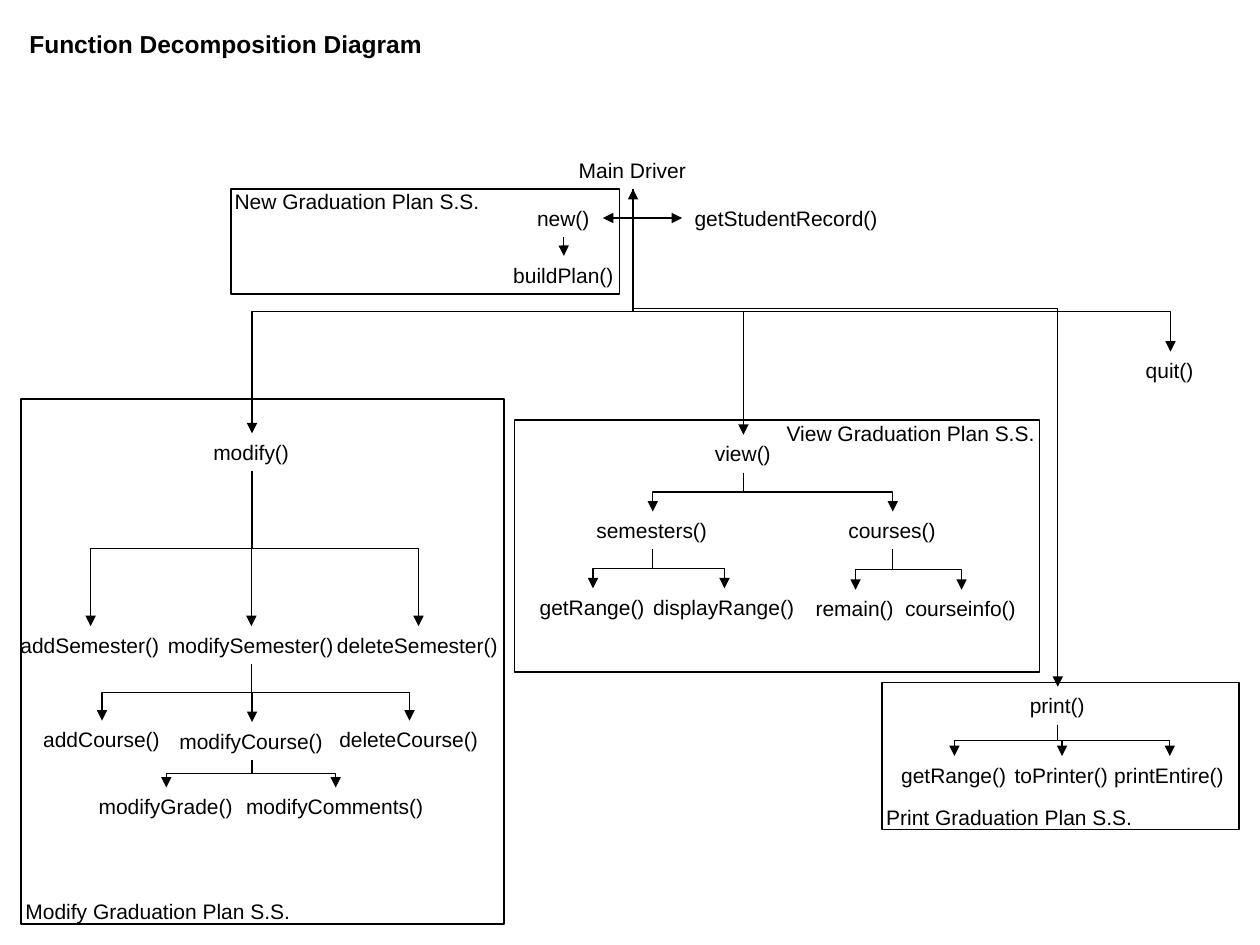
from lxml.etree import SubElement
from pptx import Presentation
from pptx.dml.color import RGBColor
from pptx.enum.shapes import MSO_CONNECTOR as Link, MSO_SHAPE as Preset
from pptx.enum.text import MSO_AUTO_SIZE as AutoSize
from pptx.oxml.ns import qn
from pptx.util import Pt

COLORS = {"ink": "000000"}

TREE = ("Main Driver", 324, 86.4, 75.6, [
    ("modify()", 115.2, 247.7, 57.6, [
        ("addSemester()", 5, 357.8, 93.6, []),
        ("modifySemester()", 89.3, 357.8, 108.7, [
            ("addCourse()", 18, 411.8, 80.6, []),
            ("modifyCourse()", 95.8, 412.6, 96.5, [
                ("modifyGrade()", 49.7, 450, 90.7, []),
                ("modifyComments()", 133.9, 450, 115.9, []),
            ]),
            ("deleteCourse()", 187.2, 411.8, 93.6, []),
        ]),
        ("deleteSemester()", 185.8, 357.8, 106.6, []),
    ]),
    ("view()", 401.8, 248.4, 46.1, [
        ("semesters()", 334.1, 292.3, 77.8, [
            ("getRange()", 301.7, 336.2, 74.2, []),
            ("displayRange()", 366.5, 336.2, 95, []),
        ]),
        ("courses()", 478.1, 292.3, 64.1, [
            ("remain()", 459.4, 337, 59, []),
            ("courseinfo()", 510.5, 337, 77.8, []),
        ]),
    ]),
    ("print()", 581.8, 392.4, 45.4, [
        ("getRange()", 508.3, 432, 74.2, []),
        ("toPrinter()", 573.1, 432, 67.7, []),
        ("printEntire()", 630, 432, 77, []),
    ]),
    ("quit()", 648, 200.9, 41.8, []),
])
NEW_TREE = ("new()", 300.2, 113.8, 43.9, [("buildPlan()", 286.6, 146.2, 71.3, [])])
BENDS = {"print()": 0.24, "quit()": 0.755}

SUBSYSTEMS = [
    ("New Graduation Plan S.S.", (127.4, 104.4, 154.1), (132, 108, 222, 60)),
    ("View Graduation Plan S.S.", (442.8, 236.9, 156.2), (294, 240, 300, 144)),
    ("Print Graduation Plan S.S.", (499.7, 456.5, 154.8), (504, 390, 204, 84)),
    ("Modify Graduation Plan S.S.", (7.9, 509.8, 165.6), (12, 228, 276, 300)),
]


def format_span(span, text, size=12, bold=False, font="Arial", color="ink"):
    span.text = text
    span.font.size = Pt(size)
    span.font.bold = bold
    span.font.name = font
    span.font.color.rgb = RGBColor.from_string(COLORS[color])


class Diagram:
    line_width = 0.75
    label_height = 21.6
    slack = 0.4

    def __init__(self, page):
        self.page = page

    def label(self, text, left, top, width, height=label_height, **style):
        box = self.page.shapes.add_textbox(
            Pt(left - self.slack), Pt(top), Pt(width + 2 * self.slack), Pt(height))
        box.text_frame.word_wrap = False
        box.text_frame.auto_size = AutoSize.SHAPE_TO_FIT_TEXT
        format_span(box.text_frame.paragraphs[0].add_run(), text, **style)
        return box

    def outline(self, line):
        line.width = Pt(self.line_width)
        line.color.rgb = RGBColor.from_string(COLORS["ink"])

    def frame(self, left, top, width, height):
        box = self.page.shapes.add_shape(
            Preset.RECTANGLE, Pt(left), Pt(top), Pt(width), Pt(height))
        box.shadow.inherit = False
        box.fill.background()
        self.outline(box.line)

    def arrow(self, start, end, bend=0.5, corner=False, ends=("tailEnd",)):
        (x1, y1), (x2, y2) = start, end
        across, down = abs(x2 - x1), y2 - y1
        left, top = (x1 + x2 - down) // 2, (y1 + y2 - across) // 2
        arrow = self.page.shapes.add_connector(
            Link.ELBOW, left, top, left + down, top + across)
        self.outline(arrow.line)
        properties = arrow._element.spPr
        turn = properties.find(qn("a:xfrm"))
        if x2 < x1:
            turn.set("rot", "5400000")
        else:
            turn.set("rot", "16200000")
            turn.set("flipH", "1")
        shape = properties.find(qn("a:prstGeom"))
        if corner:
            shape.set("prst", "bentConnector2")
        else:
            SubElement(shape.find(qn("a:avLst")), qn("a:gd"),
                       name="adj1", fmla=f"val {round(bend * 100000)}")
        for tip in ends:
            SubElement(properties.find(qn("a:ln")), qn(f"a:{tip}"), type="triangle")
        SubElement(properties, qn("a:effectLst"))

    def tree(self, node):
        text, left, top, width, children = node
        box = self.label(text, left, top, width)
        middle = box.left + box.width // 2
        for child in children:
            target = self.tree(child)
            self.arrow((middle, box.top + box.height),
                       (target.left + target.width // 2, target.top),
                       bend=BENDS.get(child[0], 0.5))
        return box


def main():
    deck = Presentation()
    deck.slide_width, deck.slide_height = Pt(720), Pt(540)
    diagram = Diagram(deck.slides.add_slide(deck.slide_layouts[6]))

    diagram.label("Function Decomposition Diagram", 10.1, 13, 239, 24.5, size=14, bold=True)
    driver = diagram.tree(TREE)
    new = diagram.tree(NEW_TREE)
    record = diagram.label("getStudentRecord()", 390.2, 113.8, 118.8)

    start = (driver.left + driver.width // 2, driver.top + driver.height)
    side = new.top + new.height // 2
    diagram.arrow(start, (new.left + new.width, side), corner=True)
    diagram.arrow(start, (record.left, side), corner=True, ends=("headEnd", "tailEnd"))

    for name, place, area in SUBSYSTEMS:
        diagram.frame(*area)
        diagram.label(name, *place)

    deck.save("out.pptx")


if __name__ == "__main__":
    main()
